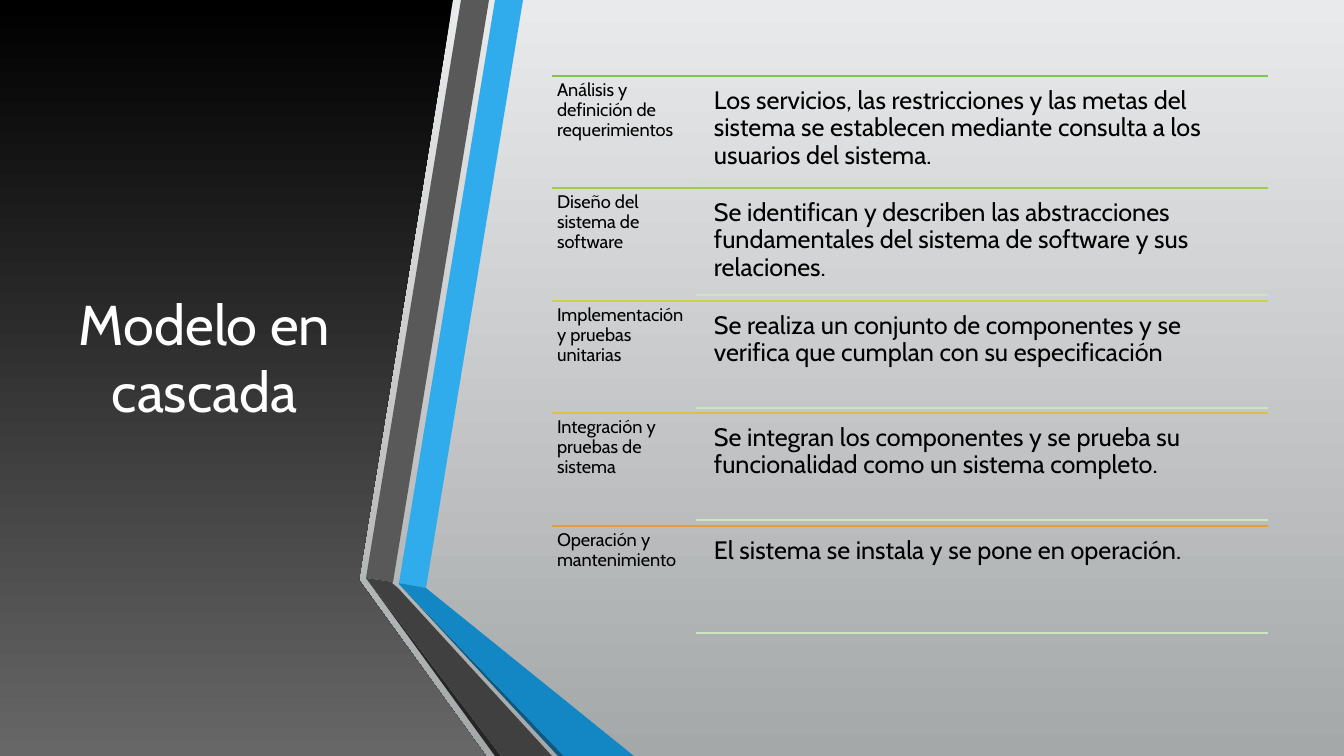
import lxml.etree
import pptx
import pptx.dml.color
import pptx.enum.shapes
import pptx.enum.text
import pptx.oxml.ns
import pptx.util

WIDTH, HEIGHT = 1344, 756
EMU_PER_PX = 914400 / 100.8

BANDS = [
    ("30ACEC", [(399, 583), (426, 588), (523, 0), (495, 0)]),
    ("595959", [(489, 0), (461, 0), (366, 578), (393, 582)]),
    ("262626", [(366, 578), (495, 756), (501, 756)]),
    ("0C5A82", [(399, 584), (558, 756), (564, 756)]),
    ("1287C3", [(399, 584), (564, 756), (634, 756), (426, 588), (399, 583)]),
    ("404040", [(552, 756), (398, 588), (392, 583), (393, 582), (366, 578), (501, 756)]),
]
PANEL = [(0, 0), (453, 0), (359, 580), (486, 756), (0, 756)]

PHASES = [
    ("80C34F", "Análisis y definición de requerimientos",
     "Los servicios, las restricciones y las metas del sistema se establecen "
     "mediante consulta a los usuarios del sistema."),
    ("A1CB4A", "Diseño del sistema de software",
     "Se identifican y describen las abstracciones fundamentales del sistema "
     "de software y sus relaciones."),
    ("C8D346", "Implementación y pruebas unitarias",
     "Se realiza un conjunto de componentes y se verifica que cumplan con su "
     "especificación"),
    ("DBC042", "Integración y pruebas de sistema",
     "Se integran los componentes y se prueba su funcionalidad como un sistema "
     "completo."),
    ("E29D3E", "Operación y mantenimiento",
     "El sistema se instala y se pone en operación."),
]
LIST_TOP, LIST_LEFT, LIST_RIGHT = 76, 552, 1268
DETAIL_LEFT = 696


def px(length):
    return pptx.util.Emu(round(length * EMU_PER_PX))


def color(value):
    return pptx.dml.color.RGBColor.from_string(value)


class Painter:
    font = "Cabin"

    def __init__(self, slide):
        self.slide = slide

    def gradient(self, fill, top, bottom):
        fill.gradient()
        fill.gradient_angle = 270
        for stop, value in zip(fill.gradient_stops, (top, bottom)):
            stop.color.rgb = color(value)

    def polygon(self, points, fill=None):
        builder = self.slide.shapes.build_freeform(*points[0], scale=EMU_PER_PX)
        builder.add_line_segments(points[1:], close=True)
        shape = builder.convert_to_shape()
        shape.shadow.inherit = False
        shape.line.fill.background()
        if fill:
            shape.fill.solid()
            shape.fill.fore_color.rgb = color(fill)
        return shape

    def rule(self, left, right, y, value):
        line = self.slide.shapes.add_connector(
            pptx.enum.shapes.MSO_CONNECTOR.STRAIGHT, px(left), px(y), px(right), px(y))
        line.line.color.rgb = color(value)
        line.line.width = pptx.util.Pt(1.25)
        properties = line._element.spPr
        lxml.etree.SubElement(properties, pptx.oxml.ns.qn("a:effectLst"))

    def text(self, left, top, width, height, words, size, value="000000",
             inset=5, spacing=0.9, title=False):
        box = self.slide.shapes.add_textbox(px(left), px(top), px(width), px(height))
        frame = box.text_frame
        frame.word_wrap = True
        frame.margin_left = frame.margin_right = px(inset)
        frame.margin_top = frame.margin_bottom = px(inset)
        para = frame.paragraphs[0]
        para.line_spacing = spacing
        if title:
            frame.vertical_anchor = pptx.enum.text.MSO_ANCHOR.MIDDLE
            para.alignment = pptx.enum.text.PP_ALIGN.CENTER
        span = para.add_run()
        span.text = words
        span.font.name = self.font
        span.font.size = pptx.util.Pt(size)
        span.font.color.rgb = color(value)


def main():
    deck = pptx.Presentation()
    deck.slide_width, deck.slide_height = px(WIDTH), px(HEIGHT)
    page = deck.slides.add_slide(deck.slide_layouts[6])
    painter = Painter(page)

    painter.gradient(page.background.fill, "E9EAEB", "A5A8A9")
    panel = painter.polygon(PANEL)
    painter.gradient(panel.fill, "000000", "676767")
    painter.text(59, 76, 291, 562, "Modelo en cascada", 40, "FFFFFF",
                 inset=10, spacing=1.0, title=True)
    for fill, points in BANDS:
        painter.polygon(points, fill)

    for row, (accent, phase, detail) in enumerate(PHASES):
        top = LIST_TOP + row * 225 // 2
        painter.rule(LIST_LEFT, LIST_RIGHT, top, accent)
        painter.text(LIST_LEFT, top, 143, 113, phase, 13)
        painter.text(707, top + 5, 561, 102, detail, 18, inset=7)
        painter.rule(DETAIL_LEFT, LIST_RIGHT, top + 107, "CDE4C2")

    deck.save("out.pptx")


if __name__ == "__main__":
    main()
